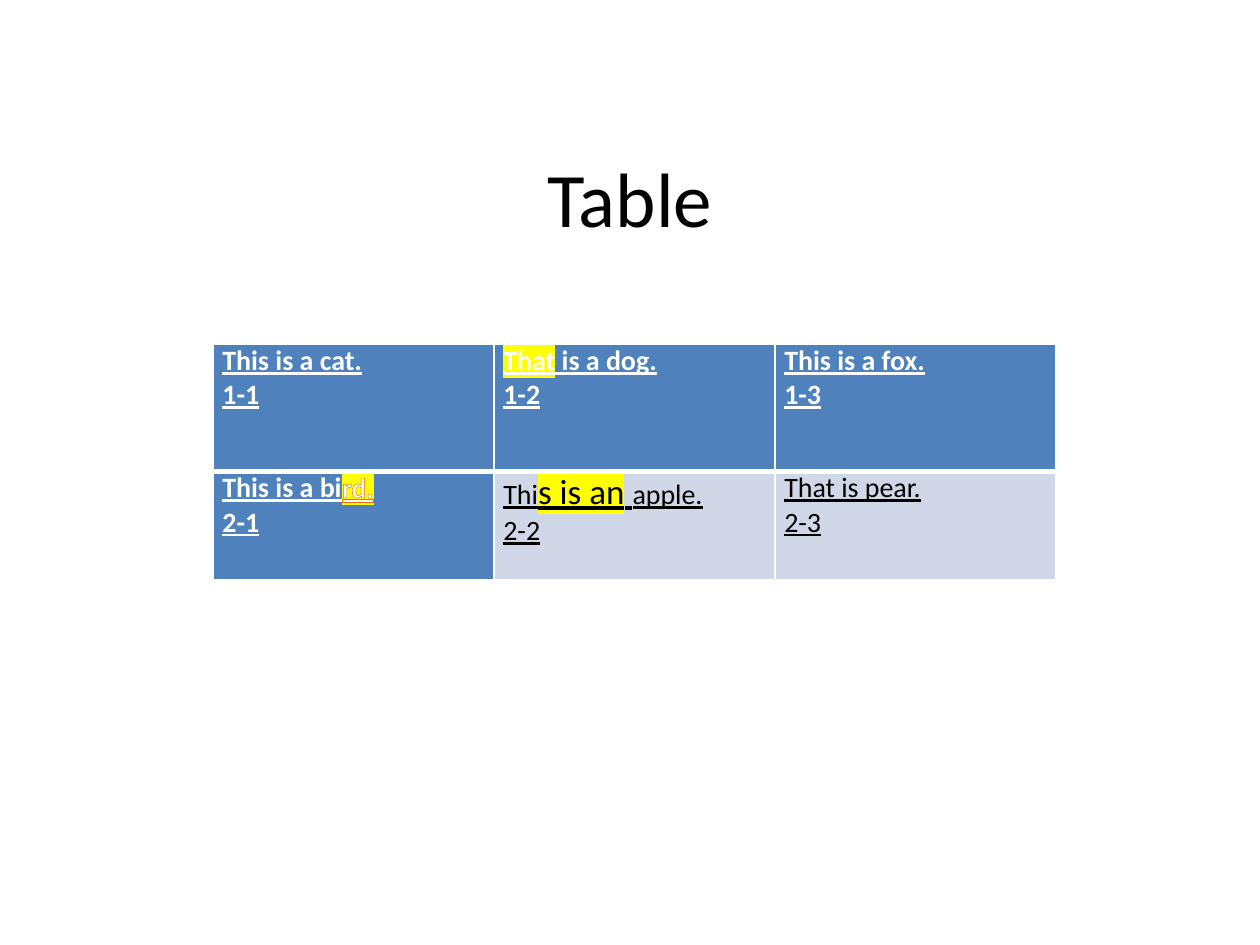
from lxml import etree
from pptx import Presentation
from pptx.dml.color import RGBColor
from pptx.enum.text import MSO_ANCHOR, PP_ALIGN
from pptx.oxml.ns import qn
from pptx.util import Pt

FONT = "Calibri"
WHITE, BLACK, YELLOW = "FFFFFF", "000000", "FFFF00"
BLUE, PALE = "4F81BD", "D0D8E8"


def rgb(value):
    return RGBColor.from_string(value)


def solid_line(tag, color, width):
    """Return a line element, used for cell borders and text outlines."""
    line = etree.Element(qn(tag), w=str(int(Pt(width))))
    fill = etree.SubElement(line, qn("a:solidFill"))
    etree.SubElement(fill, qn("a:srgbClr"), val=color)
    return line


presentation = Presentation()
presentation.slide_width, presentation.slide_height = Pt(720), Pt(540)
slide = presentation.slides.add_slide(presentation.slide_layouts[6])

# Title
title = slide.shapes.add_textbox(Pt(54), Pt(54.72), Pt(612), Pt(115.92))
title.text_frame.word_wrap = True
title.text_frame.vertical_anchor = MSO_ANCHOR.MIDDLE
paragraph = title.text_frame.paragraphs[0]
paragraph.alignment = PP_ALIGN.CENTER
run = paragraph.add_run()
run.text = "Table"
run.font.name, run.font.size = FONT, Pt(44)
run.font.color.rgb = rgb(BLACK)

# Each cell holds paragraphs; each run is its text and what sets it apart
rows = [
    [
        [[("This is a cat.", {})], [("1-1", {})]],
        [[("That", {"highlight": YELLOW}), (" is a dog.", {})], [("1-2", {})]],
        [[("This is a fox.", {})], [("1-3", {})]],
    ],
    [
        [[("This is a bi", {}),
          ("rd.", {"highlight": YELLOW, "outline": ("F16700", 1.25)})],
         [("2-1", {})]],
        [[("Thi", {}), ("s is an", {"size": 20, "highlight": YELLOW}),
          (" ", {"size": 20}), ("apple.", {})],
         [("2-2", {})]],
        [[("Tha", {}), ("t i", {"outline": ("4579B8", 0.42)}), ("s pear.", {})],
         [("2-3", {})]],
    ],
]
row_heights = [72.72, 62]
column_width = 160.56

table = slide.shapes.add_table(
    2, 3, Pt(121.68), Pt(196.56), Pt(3 * column_width), Pt(sum(row_heights))
).table
table.horz_banding = False
for column in table.columns:
    column.width = Pt(column_width)

for row_index, row in enumerate(rows):
    table.rows[row_index].height = Pt(row_heights[row_index])
    for column_index, paragraphs in enumerate(row):
        cell = table.cell(row_index, column_index)
        is_header = row_index == 0 or column_index == 0
        cell.margin_left = cell.margin_right = Pt(5.4)
        cell.margin_top = cell.margin_bottom = 0
        cell.fill.solid()
        cell.fill.fore_color.rgb = rgb(BLUE if is_header else PALE)

        # The rule under the first row is thicker than the others
        top, bottom = (1, 3) if row_index == 0 else (3, 1)
        borders = [("a:lnL", 1), ("a:lnR", 1), ("a:lnT", top), ("a:lnB", bottom)]
        properties = cell._tc.get_or_add_tcPr()
        for position, (tag, width) in enumerate(borders):
            properties.insert(position, solid_line(tag, WHITE, width))

        for index, runs in enumerate(paragraphs):
            frame = cell.text_frame
            paragraph = frame.add_paragraph() if index else frame.paragraphs[0]
            paragraph.alignment = PP_ALIGN.JUSTIFY
            for text, style in runs:
                run = paragraph.add_run()
                run.text = text
                font = run.font
                font.name, font.size = FONT, Pt(style.get("size", 16))
                font.bold, font.underline = is_header, True
                font.color.rgb = rgb(WHITE if is_header else BLACK)
                run_properties = run._r.get_or_add_rPr()
                if "highlight" in style:
                    highlight = etree.Element(qn("a:highlight"))
                    etree.SubElement(highlight, qn("a:srgbClr"), val=style["highlight"])
                    run_properties.find(qn("a:solidFill")).addnext(highlight)
                if "outline" in style:
                    run_properties.insert(0, solid_line("a:ln", *style["outline"]))

presentation.save("out.pptx")
